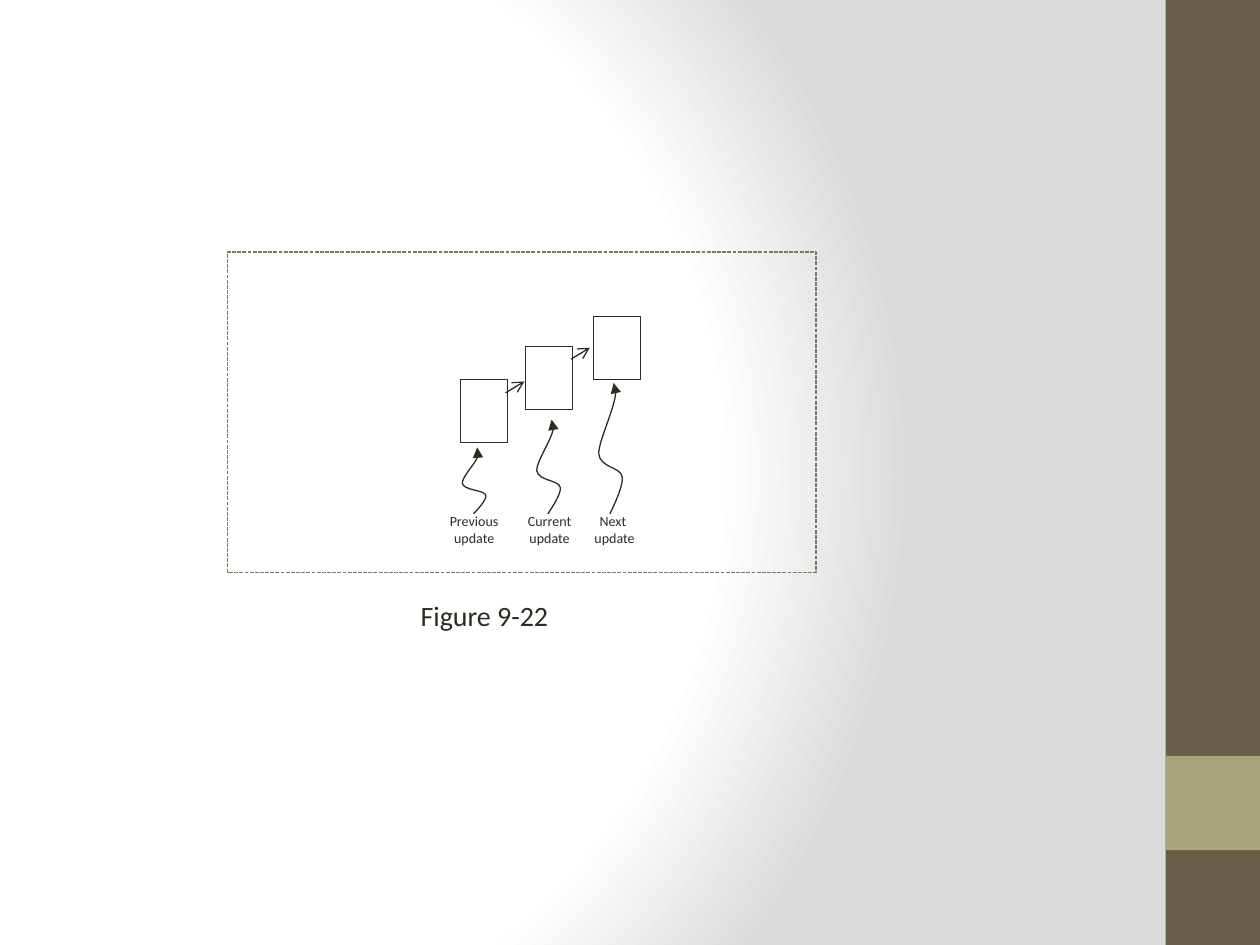
import pptx
import pptx.dml.color
import pptx.enum.dml
import pptx.enum.shapes
import pptx.enum.text
import pptx.oxml
import pptx.oxml.ns
import pptx.util
from lxml import etree

Cm = pptx.util.Cm
qn = pptx.oxml.ns.qn

COLORS = {
    "ink": "2F2B20", "frame": "7D7A5C", "band": "675E47",
    "accent": "A9A57C", "white": "FFFFFF", "grey": "DADADA",
}

# Update: label, label left and width, page left and top, pointer left and top
UPDATES = [
    ("Previous\nupdate", 9.04, 1.04, 9.27, 7.65, 9.32, 9.02),
    ("Current\nupdate", 10.62, 0.92, 10.59, 6.99, 10.82, 8.46),
    ("Next \nupdate", 11.94, 0.9, 11.96, 6.38, 12.07, 7.72),
]
POINTER_WIDTH, POINTER_BOTTOM = 0.5, 10.36
# Start point, then three Bezier triples, as fractions of width and height
POINTER_CURVE = [
    (0.6, 0), (1, 0.06), (0, 0.44), (0, 0.54), (0.05, 0.65),
    (0.9, 0.64), (0.95, 0.72), (1, 0.79), (0.55, 0.96), (0.45, 1),
]


def rgb(name):
    return pptx.dml.color.RGBColor.from_string(COLORS[name])


def set_line(shape, color, width):
    shape.line.color.rgb = rgb(color)
    shape.line.width = pptx.util.Pt(width)


def add_arrowhead(shape, end, kind):
    outline = shape._element.spPr.find(qn("a:ln"))
    etree.SubElement(outline, qn(f"a:{end}"), type=kind)


def set_background(slide):
    fill = slide.background.fill
    fill.gradient()
    gradient = slide._element.find(".//" + qn("p:bgPr")).find(qn("a:gradFill"))
    for child in list(gradient):
        gradient.remove(child)
    stops = etree.SubElement(gradient, qn("a:gsLst"))
    for position, color in [(0, "white"), (75000, "white"), (100000, "grey")]:
        stop = etree.SubElement(stops, qn("a:gs"), pos=str(position))
        etree.SubElement(stop, qn("a:srgbClr"), val=COLORS[color])
    circle = etree.SubElement(gradient, qn("a:path"))
    circle.set("path", "circle")
    etree.SubElement(circle, qn("a:fillToRect"),
                     l="20000", t="50000", r="100000", b="50000")


def add_rect(slide, left, top, width, height, fill=None, line=None, weight=0.75):
    rect = slide.shapes.add_shape(
        pptx.enum.shapes.MSO_SHAPE.RECTANGLE,
        Cm(left), Cm(top), Cm(width), Cm(height))
    rect.shadow.inherit = False
    if fill:
        rect.fill.solid()
        rect.fill.fore_color.rgb = rgb(fill)
    else:
        rect.fill.background()
    if line:
        set_line(rect, line, weight)
    else:
        rect.line.fill.background()
    return rect


def add_arrow(slide, left, top):
    arrow = slide.shapes.add_connector(
        pptx.enum.shapes.MSO_CONNECTOR.STRAIGHT,
        Cm(left), Cm(top), Cm(left + 0.38), Cm(top - 0.23))
    set_line(arrow, "ink", 0.75)
    add_arrowhead(arrow, "tailEnd", "arrow")
    etree.SubElement(arrow._element.spPr, qn("a:effectLst"))


def add_pointer(slide, left, top):
    height = POINTER_BOTTOM - top
    points = [(Cm(left + x * POINTER_WIDTH), Cm(top + y * height))
              for x, y in POINTER_CURVE]
    builder = slide.shapes.build_freeform(*points[0])
    builder.add_line_segments(points[1:], close=False)
    pointer = builder.convert_to_shape()
    # Turn each three segments into one Bezier curve
    segments = list(pointer._element.iter(qn("a:lnTo")))
    outline = segments[0].getparent()
    for start in range(0, len(segments), 3):
        curve = etree.SubElement(outline, qn("a:cubicBezTo"))
        for segment in segments[start:start + 3]:
            curve.append(segment[0])
            outline.remove(segment)
    pointer.shadow.inherit = False
    pointer.fill.background()
    set_line(pointer, "ink", 0.75)
    add_arrowhead(pointer, "headEnd", "triangle")


def add_text(slide, text, left, top, width, size, align):
    box = slide.shapes.add_textbox(Cm(left), Cm(top), Cm(width), Cm(0.94))
    frame = box.text_frame
    frame.word_wrap = True
    frame.auto_size = pptx.enum.text.MSO_AUTO_SIZE.SHAPE_TO_FIT_TEXT
    frame.margin_left = frame.margin_right = 0
    frame.text = text
    for paragraph in frame.paragraphs:
        paragraph.alignment = align
        for run in paragraph.runs:
            run.font.name = "Calibri"
            run.font.size = pptx.util.Pt(size)
            run.font.color.rgb = rgb("ink")


def main():
    deck = pptx.Presentation()
    deck.slide_width, deck.slide_height = Cm(25.4), Cm(19.05)
    slide = deck.slides.add_slide(deck.slide_layouts[6])
    align = pptx.enum.text.PP_ALIGN

    # Background and side band
    set_background(slide)
    add_rect(slide, 23.5, 0, 1.9, 19.05, fill="band")
    add_rect(slide, 23.5, 15.24, 1.9, 1.9, fill="accent")

    # Figure frame
    frame = add_rect(slide, 4.59, 5.08, 11.86, 6.46, line="frame")
    frame.line.dash_style = pptx.enum.dml.MSO_LINE.SQUARE_DOT

    # Arrows from each page to the next
    add_arrow(slide, 10.19, 7.92)
    add_arrow(slide, 11.51, 7.24)

    # Pages with their pointers and labels
    for label, label_left, label_width, left, top, tip_left, tip_top in UPDATES:
        add_pointer(slide, tip_left, tip_top)
        add_text(slide, label, label_left, 10.21, label_width, 8, align.CENTER)
        add_rect(slide, left, top, 0.95, 1.27, line="ink", weight=0.25)

    # Caption
    add_text(slide, "Figure 9-22", 8.48, 11.94, 5.89, 16, align.LEFT)

    deck.save("out.pptx")


main()
